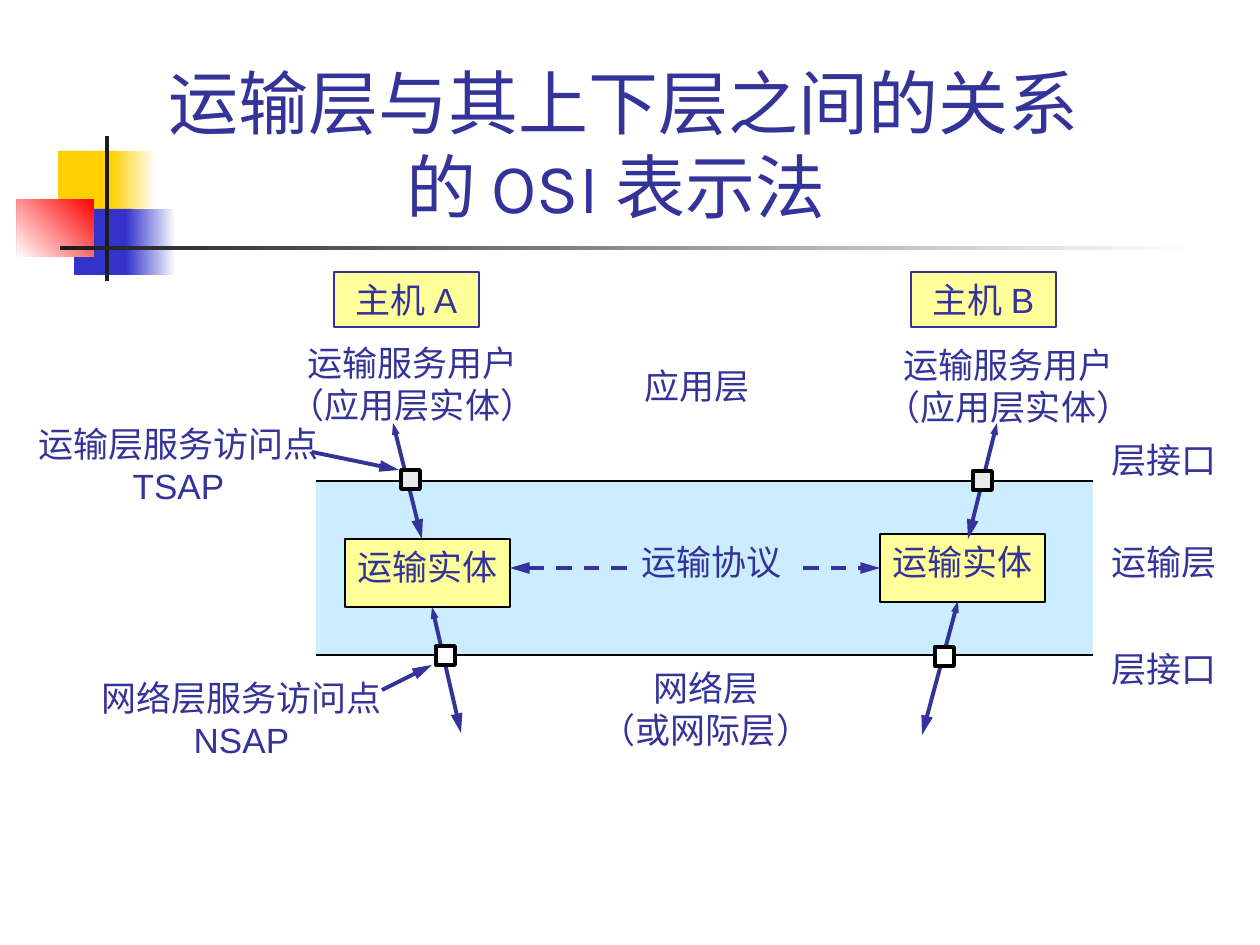
"""Build a slide on how the transport layer relates to its neighbouring layers."""
import pptx
import pptx.dml.color
import pptx.enum.dml
import pptx.enum.shapes
import pptx.enum.text
import pptx.oxml
import pptx.oxml.ns
import pptx.util

PIXEL = 914400 / 126
INK, BLACK, WHITE, YELLOW, SKY = "333399", "000000", "FFFFFF", "FFFF99", "CCECFF"

TITLE = "运输层与其上下层之间的关系的 OSI 表示法 "
TITLE_AREA = (151, 129, 945, 105)

# fill is one colour, or (start colour, end colour, angle)
ORNAMENTS = [
    ((58, 151, 60, 66), "FFCF01"),
    ((111, 151, 45, 66), ("FFCF01", WHITE, 0)),
    ((74, 209, 58, 66), "3333CC"),
    ((126, 209, 50, 66), ("3333CC", WHITE, 0)),
    ((17, 199, 77, 58), ("FF0000", WHITE, 225)),
    ((105, 136, 4, 145), "1C1C1C"),
    ((60, 246, 1134, 4), ("1C1C1C", WHITE, 0)),
]

BAND = (316, 481, 777, 174)
ENTITIES = [((345, 539, 165, 68), "运输实体"), ((880, 534, 165, 68), "运输实体")]
HOSTS = [((334, 272, 145, 55), "主机 A"), ((911, 272, 145, 55), "主机 B")]
PROTOCOL = ((629, 534, 165, 55), "运输协议")

LABELS = [
    ((1099, 534, 130, 55), "运输层"),
    ((1099, 432, 130, 55), "层接口"),
    ((1099, 641, 130, 55), "层接口"),
    ((632, 358, 130, 55), "应用层"),
    ((277, 335, 271, 97), "运输服务用户\n（应用层实体）"),
    ((873, 337, 271, 97), "运输服务用户\n（应用层实体）"),
    ((588, 660, 236, 97), "网络层\n（或网际层）"),
    ((26, 416, 305, 97), "运输层服务访问点\nTSAP"),
    ((89, 670, 305, 97), "网络层服务访问点\nNSAP"),
]

ACCESS_SIZE = 19
ACCESS_POINTS = [((401, 470), "EAEAEA"), ((436, 646), WHITE), ((935, 647), WHITE), ((973, 471), "EAEAEA")]

LARGE_HEAD = {"type": "triangle", "w": "med", "len": "lg"}
SMALL_HEAD = {"type": "triangle", "w": "sm", "len": "med"}
PROTOCOL_LINE = (510, 568, 880, 568)
SERVICE_LINES = [(393, 423, 422, 539), (432, 607, 461, 733), (997, 423, 968, 539), (958, 601, 922, 735)]
POINTERS = [(312, 452, 399, 470), (382, 690, 432, 665)]


def color(value):
    return pptx.dml.color.RGBColor.from_string(value)


def lengths(values):
    return [pptx.util.Emu(round(value * PIXEL)) for value in values]


def assign(target, values):
    for name, value in values.items():
        setattr(target, name, value)


def write(box, text, size=20, font="Arial", anchor=pptx.enum.text.MSO_ANCHOR.TOP, wrap=False):
    frame = box.text_frame
    frame.text = text
    assign(frame, {"word_wrap": wrap, "vertical_anchor": anchor, "auto_size": pptx.enum.text.MSO_AUTO_SIZE.NONE})
    for para in frame.paragraphs:
        para.alignment = pptx.enum.text.PP_ALIGN.CENTER
        for span in para.runs:
            assign(span.font, {"name": font, "size": pptx.util.Pt(size)})
            span.font.color.rgb = color(INK)


def add_box(slide, area, fill, line=None, weight=0.75, text=None):
    box = slide.shapes.add_shape(pptx.enum.shapes.MSO_SHAPE.RECTANGLE, *lengths(area))
    box.shadow.inherit = False
    if isinstance(fill, tuple):
        box.fill.gradient()
        box.fill.gradient_angle = fill[2]
        for stop, value in zip(box.fill.gradient_stops, fill):
            stop.color.rgb = color(value)
    else:
        box.fill.solid()
        box.fill.fore_color.rgb = color(fill)
    if line:
        box.line.color.rgb = color(line)
        box.line.width = pptx.util.Pt(weight)
    else:
        box.line.fill.background()
    if text:
        write(box, text)


def add_line(slide, ends, line=INK, weight=2.25, head=None, tail=None, dash=None):
    link = slide.shapes.add_connector(pptx.enum.shapes.MSO_CONNECTOR.STRAIGHT, *lengths(ends))
    link.line.color.rgb = color(line)
    assign(link.line, {"width": pptx.util.Pt(weight), "dash_style": dash})
    outline = link.line._get_or_add_ln()
    for tag, values in (("a:headEnd", head), ("a:tailEnd", tail)):
        if values:
            end = pptx.oxml.parse_xml(f"<{tag} {pptx.oxml.ns.nsdecls('a')}/>")
            for name, value in values.items():
                end.set(name, value)
            outline.append(end)
    effects = pptx.oxml.parse_xml(f"<a:effectLst {pptx.oxml.ns.nsdecls('a')}/>")
    link._element.spPr.append(effects)


def main():
    deck = pptx.Presentation()
    deck.slide_width, deck.slide_height = lengths((1260, 945))
    slide = deck.slides.add_slide(deck.slide_layouts[5])

    for area, fill in ORNAMENTS:
        add_box(slide, area, fill)
    title = slide.shapes.title
    assign(title, dict(zip(("left", "top", "width", "height"), lengths(TITLE_AREA))))
    write(title, TITLE, 40, "Karla", pptx.enum.text.MSO_ANCHOR.BOTTOM, True)

    add_box(slide, BAND, SKY)
    left, top, width, height = BAND
    for edge in (top, top + height):
        add_line(slide, (left, edge, left + width, edge), BLACK, 0.75)
    for area, text in ENTITIES:
        add_box(slide, area, YELLOW, BLACK, 1.5, text)
    add_line(slide, PROTOCOL_LINE, head=LARGE_HEAD, tail=LARGE_HEAD, dash=pptx.enum.dml.MSO_LINE.DASH)
    for ends in SERVICE_LINES:
        add_line(slide, ends, head=SMALL_HEAD, tail=LARGE_HEAD)
    area, text = PROTOCOL
    add_box(slide, area, SKY, text=text)
    for area, text in HOSTS:
        add_box(slide, area, YELLOW, INK, text=text)
    for area, text in LABELS:
        write(slide.shapes.add_textbox(*lengths(area)), text)
    for corner, fill in ACCESS_POINTS:
        add_box(slide, (*corner, ACCESS_SIZE, ACCESS_SIZE), fill, BLACK, 2.25)
    for ends in POINTERS:
        add_line(slide, ends, tail=LARGE_HEAD)
    deck.save("out.pptx")


if __name__ == "__main__":
    main()
